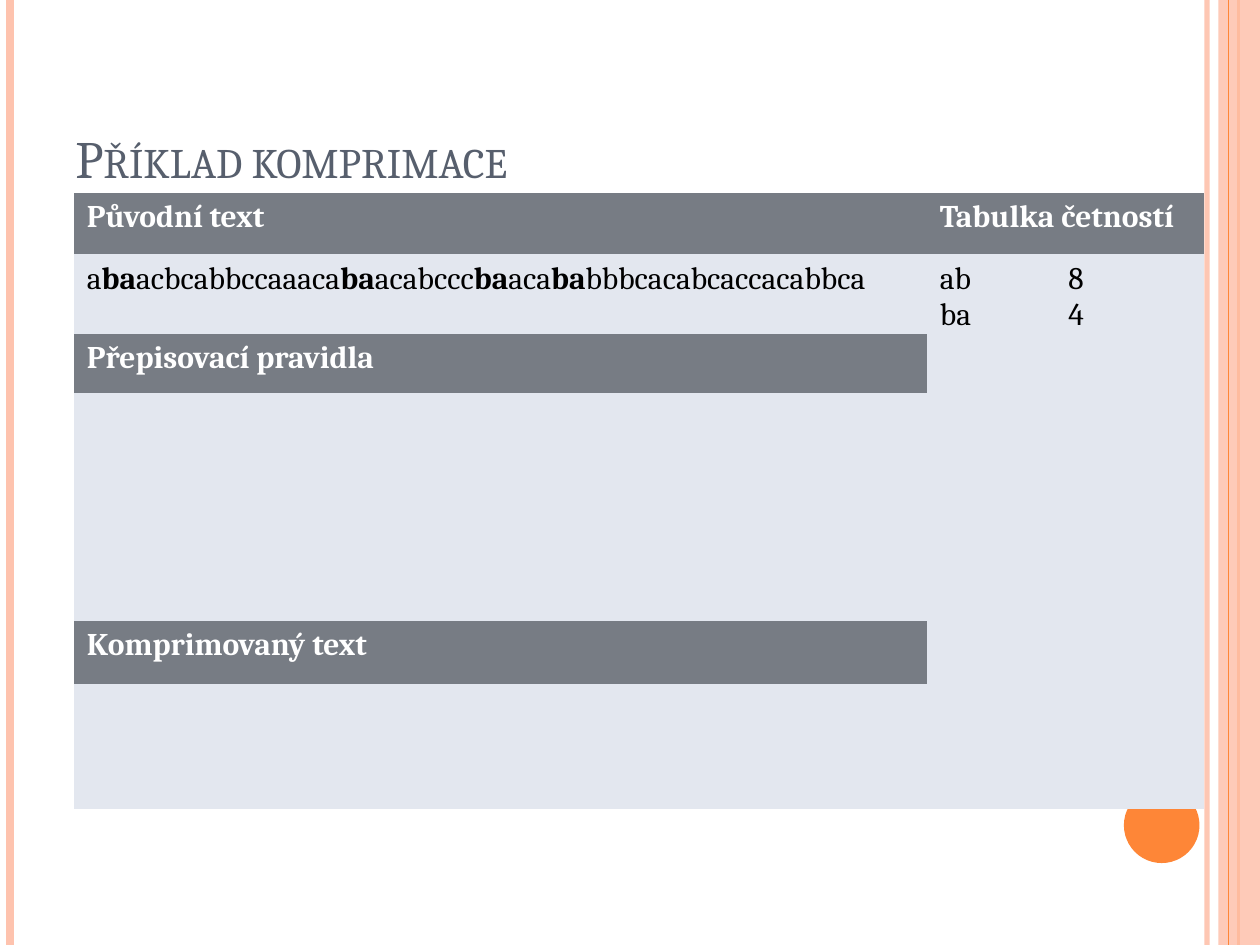
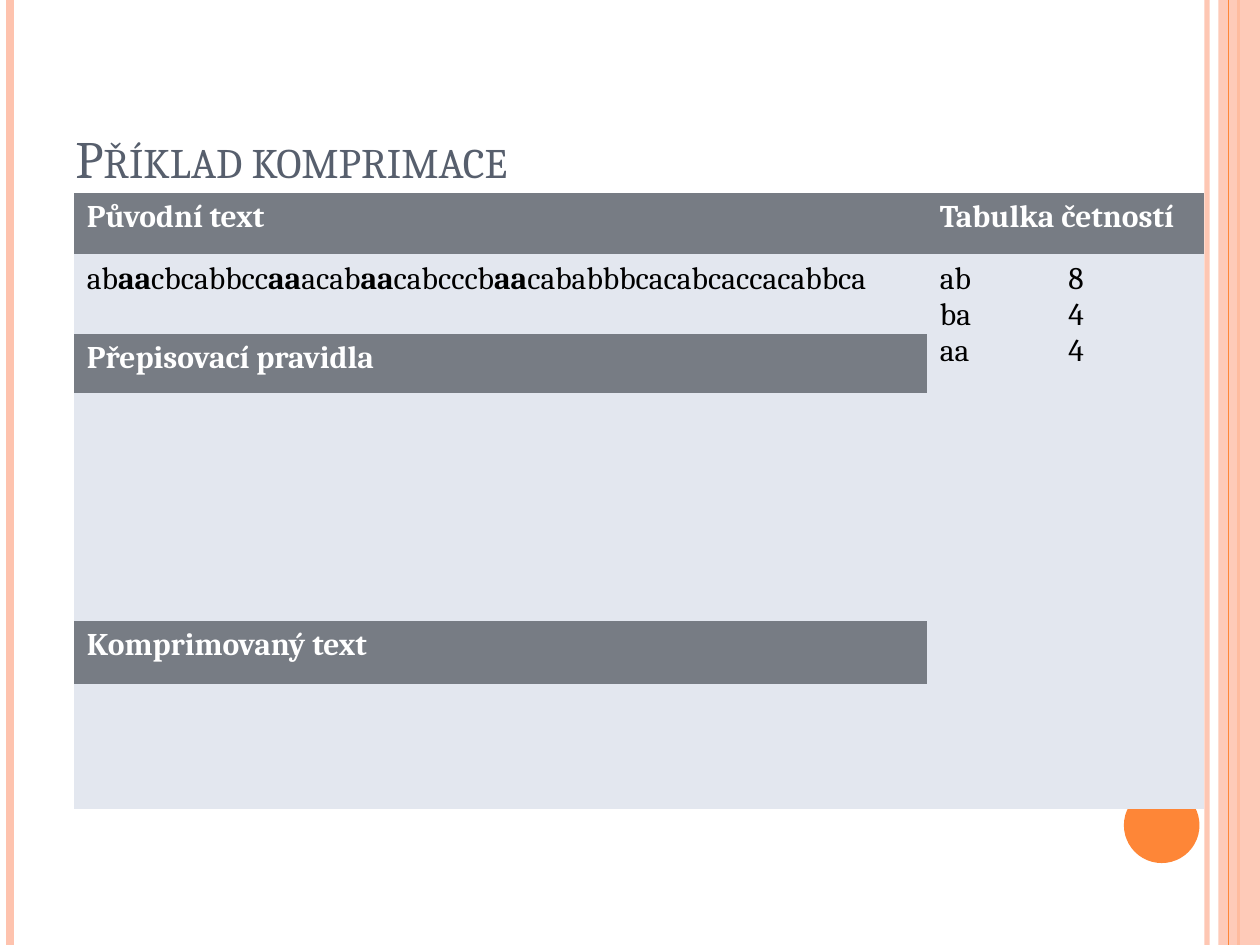
from pptx import Presentation
from pptx.dml.color import RGBColor
from pptx.enum.shapes import MSO_CONNECTOR, MSO_SHAPE
from pptx.enum.text import MSO_ANCHOR
from pptx.oxml.ns import qn
from pptx.util import Inches, Pt
from lxml.etree import SubElement

COLORS = {
    "accent": "FE8637",
    "pale": "FEC3AE",
    "title": "575F6D",
    "header": "777C84",
    "body": "E3E7EF",
    "white": "FFFFFF",
    "black": "000000",
}
FONT = "Cambria"
PLAIN_TABLE_STYLE = "{2D5ABB26-0587-4C30-8999-92F81FD0307C}"
SLIDE_WIDTH, SLIDE_HEIGHT = 10, 7.5
TITLE_BOX = (0.5, 0.3, 8.17, 1.25)
TABLE_BOX = (0.59, 1.53, 8.98, 5.18)
COLUMN_WIDTHS = (6.77, 1.02, 1.18)
ROW_HEIGHTS = (0.49, 0.63, 0.47, 1.81, 0.5, 0.99)
SECTIONS = ("Původní text", "Přepisovací pravidla", "Komprimovaný text")
SOURCE_TEXT = "abaacbcabbccaaacabaacabcccbaacababbbcacabcaccacabbca"
FREQUENCIES = (("ab", 8), ("ba", 4), ("aa", 4))


def color(name):
    return RGBColor.from_string(COLORS[name])


def set_opacity(fill_parent, percent):
    color_element = fill_parent.find(".//" + qn("a:srgbClr"))
    SubElement(color_element, qn("a:alpha")).set("val", str(percent * 1000))


def format_run(run, size, color_name, bold=False):
    run.font.name = FONT
    run.font.size = Pt(size)
    run.font.bold = bold
    run.font.color.rgb = color(color_name)


def add_stripe(slide, x, color_name, width, opacity=100):
    stripe = slide.shapes.add_connector(
        MSO_CONNECTOR.STRAIGHT, Inches(x), 0, Inches(x), Inches(SLIDE_HEIGHT))
    stripe.line.color.rgb = color(color_name)
    stripe.line.width = Pt(width)
    properties = stripe.line._get_or_add_ln().getparent()
    if opacity < 100:
        set_opacity(properties, opacity)
    SubElement(properties, qn("a:effectLst"))


def add_solid(slide, preset, box, color_name):
    shape = slide.shapes.add_shape(preset, *map(Inches, box))
    shape.shadow.inherit = False
    shape.fill.solid()
    shape.fill.fore_color.rgb = color(color_name)
    shape.line.fill.background()
    return shape


def add_frame(slide):
    add_stripe(slide, 9.58, "pale", 3, 93)
    add_stripe(slide, 0.08, "pale", 4.5)
    add_stripe(slide, 9.83, "accent", 1.5)
    band = add_solid(slide, MSO_SHAPE.RECTANGLE,
                     (9.67, 0, SLIDE_WIDTH - 9.67, SLIDE_HEIGHT), "pale")
    set_opacity(band._element.spPr, 87)
    add_stripe(slide, 9.75, "accent", 0.75)
    add_solid(slide, MSO_SHAPE.OVAL, (8.92, 6.25, 0.6, 0.6), "accent")


def add_title(slide, box, text):
    text_frame = slide.shapes.add_textbox(*map(Inches, box)).text_frame
    text_frame.word_wrap = True
    text_frame.vertical_anchor = MSO_ANCHOR.BOTTOM
    text_frame.text = text
    run = text_frame.paragraphs[0].runs[0]
    format_run(run, 30, "title")
    run.font._element.set("cap", "small")


def fill_cell(cell, fill_name, text="", text_color="black", bold=False):
    cell.fill.solid()
    cell.fill.fore_color.rgb = color(fill_name)
    if text:
        cell.text_frame.text = text
    for paragraph in cell.text_frame.paragraphs:
        for run in paragraph.runs:
            format_run(run, 18, text_color, bold)


def write_highlighted(paragraph, text, pair):
    for index, part in enumerate(text.split(pair)):
        if index:
            add_part(paragraph, pair, True)
        add_part(paragraph, part, False)


def add_part(paragraph, text, bold):
    run = paragraph.add_run()
    run.text = text
    format_run(run, 18, "black", bold)


def add_compression_table(slide, box, frequencies):
    table = slide.shapes.add_table(
        len(ROW_HEIGHTS), len(COLUMN_WIDTHS), *map(Inches, box)).table
    table.first_row = table.horz_banding = False
    table._tbl.tblPr.find(qn("a:tableStyleId")).text = PLAIN_TABLE_STYLE
    for column, width in zip(table.columns, COLUMN_WIDTHS):
        column.width = Inches(width)
    for row, height in zip(table.rows, ROW_HEIGHTS):
        row.height = Inches(height)

    table.cell(0, 1).merge(table.cell(0, 2))
    for column in (1, 2):
        table.cell(1, column).merge(table.cell(len(ROW_HEIGHTS) - 1, column))

    for index, heading in enumerate(SECTIONS):
        fill_cell(table.cell(2 * index, 0), "header", heading, "white", True)
        fill_cell(table.cell(2 * index + 1, 0), "body")
    fill_cell(table.cell(0, 1), "header", "Tabulka četností", "white", True)
    for column, values in enumerate(zip(*frequencies), start=1):
        fill_cell(table.cell(1, column), "body", "\n".join(map(str, values)))

    newest_pair = frequencies[-1][0]
    write_highlighted(table.cell(1, 0).text_frame.paragraphs[0], SOURCE_TEXT, newest_pair)


def add_compression_slide(presentation, frequencies):
    slide = presentation.slides.add_slide(presentation.slide_layouts[6])
    add_frame(slide)
    add_title(slide, TITLE_BOX, "Příklad komprimace")
    add_compression_table(slide, TABLE_BOX, frequencies)


presentation = Presentation()
presentation.slide_width = Inches(SLIDE_WIDTH)
presentation.slide_height = Inches(SLIDE_HEIGHT)
for pair_count in (2, 3):
    add_compression_slide(presentation, FREQUENCIES[:pair_count])
presentation.save("out.pptx")
